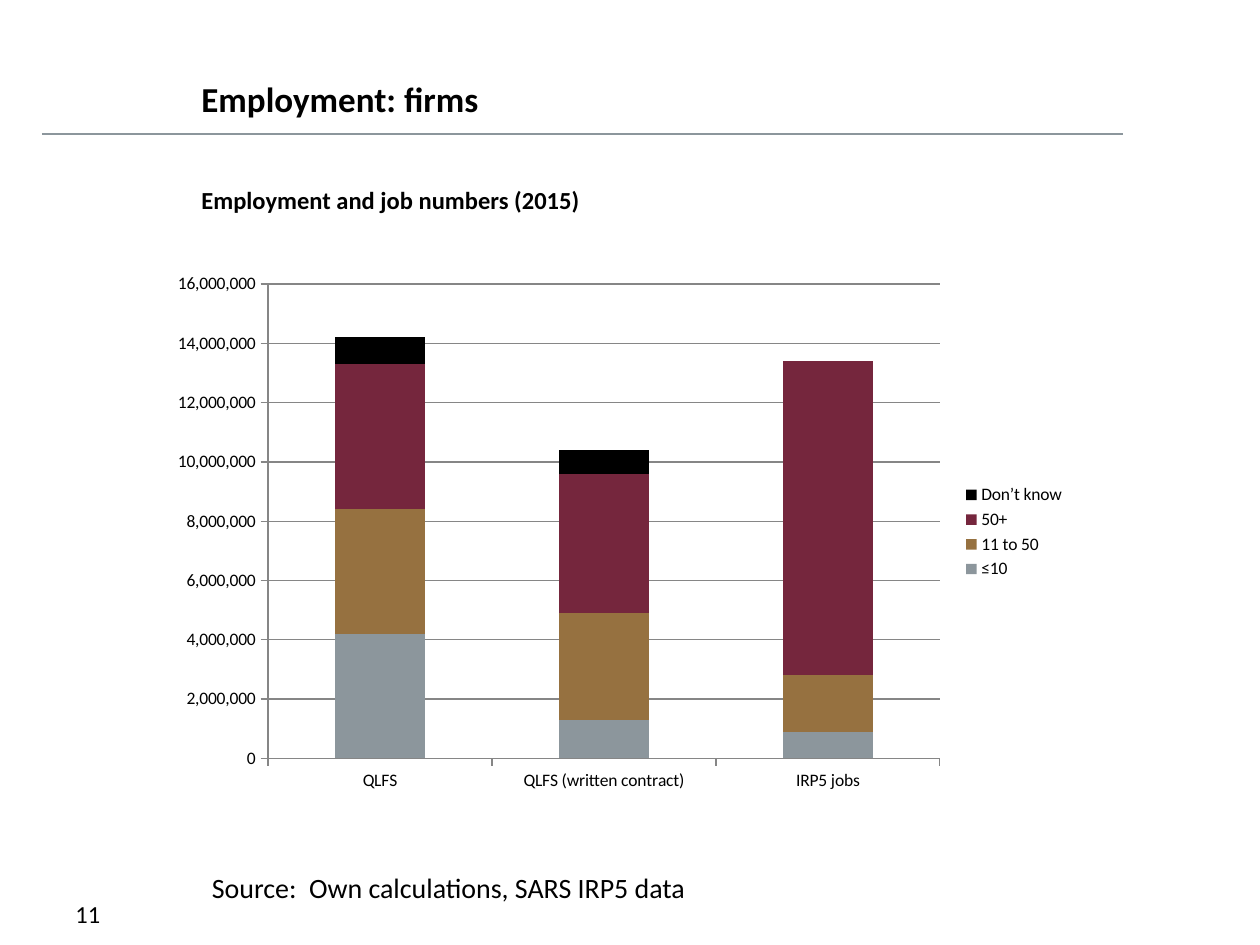
import pptx
import pptx.chart.data
import pptx.dml.color
import pptx.enum.chart
import pptx.enum.shapes
import pptx.enum.text
import pptx.oxml
import pptx.oxml.ns
import pptx.util

Pt = pptx.util.Pt
FONT = "Calibri"
COLORS = {"text": "000000", "rule": "8C969C", "axis": "868686", "small": "8C969C",
          "medium": "967140", "large": "75263D", "unknown": "000000"}

# text, (left, top, width, height), size, bold, anchor
TEXTS = [
    ("11", (36, 510, 150, 36), 14, False, "TOP"),
    ("Employment: firms", (108, 36, 528, 36), 20, True, "BOTTOM"),
    ("Employment and job numbers (2015)", (108, 102, 534, 378), 14, True, "TOP"),
    ("Source:  Own calculations, SARS IRP5 data", (114, 494, 574.5, 26.5), 16, False, "TOP"),
]
RULE = (24, 76.5, 642, 76.5)
CHART_BOX = (90, 150, 526, 308)
PLOT_AREA = {"x": 0.12, "y": 0.04, "w": 0.73, "h": 0.88}  # shares of the chart box
SOURCES = ["QLFS", "QLFS (written contract)", "IRP5 jobs"]
FIRM_SIZES = [
    ("≤10", "small", (4200000, 1300000, 900000)),
    ("11 to 50", "medium", (4200000, 3600000, 1900000)),
    ("50+", "large", (4900000, 4700000, 10600000)),
    ("Don’t know", "unknown", (900000, 800000, None)),
]


def rgb(name):
    return pptx.dml.color.RGBColor.from_string(COLORS[name])


def style_font(font, size, bold=False):
    font.name, font.size, font.bold = FONT, Pt(size), bold
    font.color.rgb = rgb("text")


def style_line(line, name, width):
    line.color.rgb = rgb(name)
    line.width = Pt(width)


def add_text(slide, text, box, size, bold, anchor):
    frame = slide.shapes.add_textbox(*map(Pt, box)).text_frame
    frame.word_wrap = True
    frame.vertical_anchor = pptx.enum.text.MSO_ANCHOR[anchor]
    frame.text = text
    style_font(frame.paragraphs[0].runs[0].font, size, bold)


def add_rule(slide):
    rule = slide.shapes.add_connector(
        pptx.enum.shapes.MSO_CONNECTOR.STRAIGHT, *map(Pt, RULE))
    style_line(rule.line, "rule", 1)
    rule.element.spPr.append(pptx.oxml.parse_xml(
        f"<a:effectLst {pptx.oxml.ns.nsdecls('a')}/>"))


def fix_plot_area(chart):
    """Pin the inner plot area to PLOT_AREA."""
    plot_area = chart.element.chart.plotArea
    for layout in plot_area.findall(pptx.oxml.ns.qn("c:layout")):
        plot_area.remove(layout)
    modes = "".join(f'<c:{side}Mode val="edge"/>' for side in "xy")
    shares = "".join(f'<c:{key} val="{share}"/>' for key, share in PLOT_AREA.items())
    plot_area.insert(0, pptx.oxml.parse_xml(
        f"<c:layout {pptx.oxml.ns.nsdecls('c')}><c:manualLayout>"
        f'<c:layoutTarget val="inner"/>{modes}{shares}</c:manualLayout></c:layout>'))


def add_jobs_chart(slide):
    data = pptx.chart.data.CategoryChartData()
    data.categories = SOURCES
    for label, _, jobs in FIRM_SIZES:
        data.add_series(label, jobs)
    chart = slide.shapes.add_chart(
        pptx.enum.chart.XL_CHART_TYPE.COLUMN_STACKED, *map(Pt, CHART_BOX), data).chart
    chart.has_title = False
    style_font(chart.font, 10)

    plot = chart.plots[0]
    plot.gap_width, plot.overlap, plot.vary_by_categories = 150, 100, False
    for series, (_, color, _) in zip(plot.series, FIRM_SIZES):
        series.format.fill.solid()
        series.format.fill.fore_color.rgb = rgb(color)

    for axis in (chart.category_axis, chart.value_axis):
        axis.major_tick_mark = pptx.enum.chart.XL_TICK_MARK.OUTSIDE
        axis.minor_tick_mark = pptx.enum.chart.XL_TICK_MARK.NONE
        style_line(axis.format.line, "axis", 0.75)
    jobs_axis = chart.value_axis
    jobs_axis.minimum_scale, jobs_axis.maximum_scale = 0, 16000000
    jobs_axis.major_unit = 2000000
    jobs_axis.has_major_gridlines = True
    style_line(jobs_axis.major_gridlines.format.line, "axis", 0.75)
    jobs_axis.tick_labels.number_format = "#,##0"
    jobs_axis.tick_labels.number_format_is_linked = False

    chart.has_legend = True
    chart.legend.position = pptx.enum.chart.XL_LEGEND_POSITION.RIGHT
    chart.legend.include_in_layout = False
    fix_plot_area(chart)


def main():
    deck = pptx.Presentation()
    deck.slide_width, deck.slide_height = Pt(720), Pt(540)
    slide = deck.slides.add_slide(deck.slide_layouts[6])
    add_rule(slide)
    for text in TEXTS:
        add_text(slide, *text)
    add_jobs_chart(slide)
    deck.save("out.pptx")


if __name__ == "__main__":
    main()
